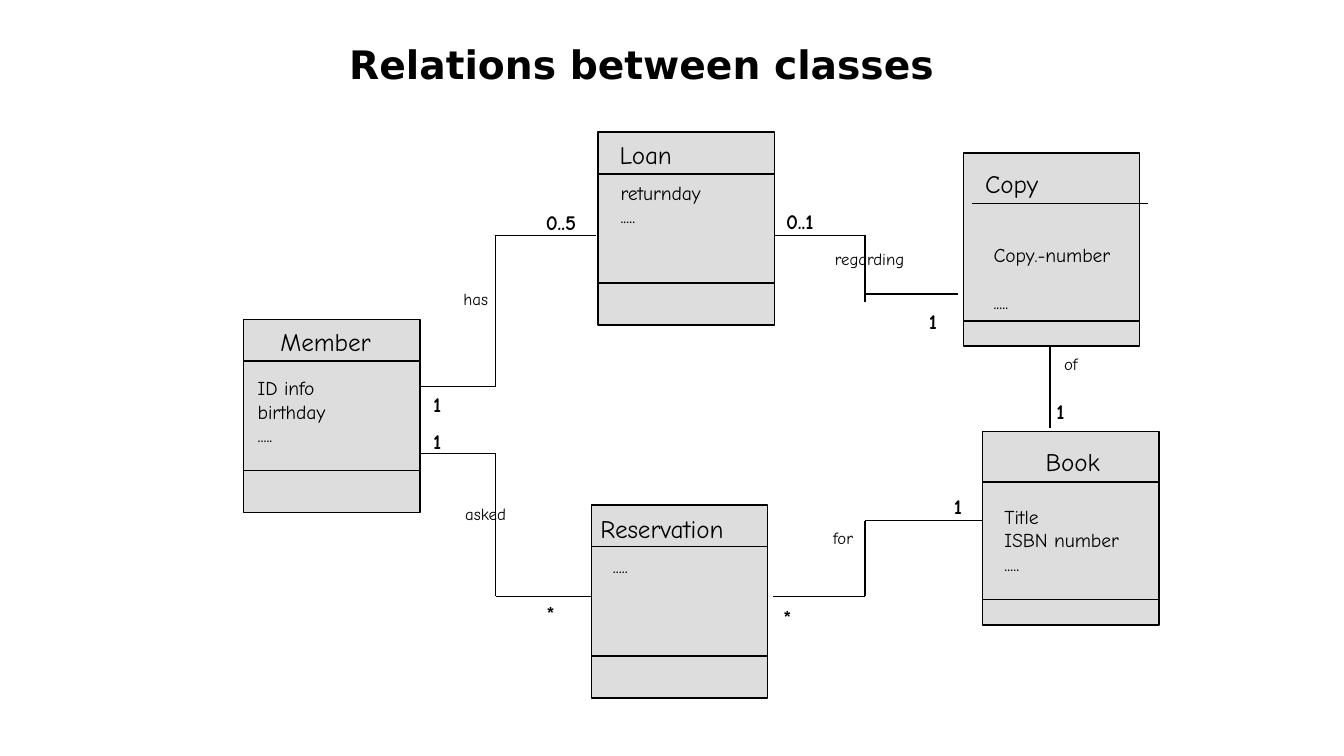
from pptx import Presentation
from pptx.dml.color import RGBColor
from pptx.enum.shapes import MSO_CONNECTOR as Line, MSO_SHAPE as Shape
from pptx.enum.text import MSO_AUTO_SIZE as Fit
from pptx.oxml.ns import qn
from pptx.util import Emu, Pt
from lxml.etree import SubElement as Sub

deck = Presentation()
unit = Emu(57150)  # one grid step: 160 columns by 90 rows
deck.slide_width, deck.slide_height = 160 * unit, 90 * unit
slide = deck.slides.add_slide(deck.slide_layouts[6])
shapes = slide.shapes

ink = RGBColor.from_string("000000")
grey = RGBColor.from_string("DDDDDD")
white = RGBColor.from_string("FFFFFF")
hand = "Comic Neue"
title = {"name": "DejaVu Sans", "size": Pt(21), "bold": True}
count = {"name": hand, "size": Pt(11.2), "bold": True}
role = {"name": hand, "size": Pt(9)}
head = {"name": hand, "size": Pt(13.5)}
body = {"name": hand, "size": Pt(10.5)}


def write(words, x, y, wide, style, wrap=False, gap=0):
    """Add a text box as tall as its lines; gap goes before the last paragraph."""
    rows = 1 + words.count("\n") + words.count("\v")
    tall = 1.6 + (rows * style["size"].pt * 1.2 + gap) / 4.5
    box = shapes.add_textbox(*[int(n * unit) for n in (x, y, wide, tall)])
    frame = box.text_frame
    frame.word_wrap = wrap
    frame.auto_size = Fit.SHAPE_TO_FIT_TEXT
    frame.text = words
    for para in frame.paragraphs:
        for run in para.runs:
            run.font.color.rgb = ink
            for key, value in style.items():
                setattr(run.font, key, value)
    if gap:
        frame.paragraphs[-1].space_before = Pt(gap)
    return box


def rule(*points):
    """Draw straight black lines from point to point."""
    for start, end in zip(points, points[1:]):
        line = shapes.add_connector(
            Line.STRAIGHT, *[int(n * unit) for n in start + end])
        line.line.color.rgb = ink
        line.line.width = Pt(0.75)
        Sub(line._element.spPr, qn("a:effectLst"))


banner = write("Relations between classes", 40, 4, 87, title, wrap=True)
banner.fill.solid()
banner.fill.fore_color.rgb = white

# Relations
rule((50, 46), (59, 46), (59, 28), (71, 28))
rule((50, 54), (59, 54), (59, 71), (71, 71))
rule((92, 28), (103, 28), (103, 36))
rule((103, 35), (114, 35))
rule((92, 71), (103, 71), (103, 62), (117, 62))
rule((125, 39.5), (125, 51))

counts = [
    ("0..5", 63.4, 24.2, 8.5), ("*", 63.5, 70.7, 4.6),
    ("1", 50, 45.8, 4.8), ("1", 50, 50.2, 4.8),
    ("1", 109, 36, 4.8), ("1", 112, 58, 4.8),
    ("0..1", 92, 24, 8.5), ("*", 91.7, 71.2, 4.6),
    ("1", 124.2, 46.7, 4.8),
]
for words, x, y, wide in counts:
    write(words, x, y, wide, count)

roles = [
    ("has", 53.6, 33.6, 6.4), ("asked", 53.8, 59.2, 8.6),
    ("regarding", 97.8, 28.8, 12.3), ("of", 125.1, 41.3, 5.3),
    ("for", 97.6, 62, 6.4),
]
for words, x, y, wide in roles:
    write(words, x, y, wide, role)

# Classes: corner, rows of the two rules, shift of the upper rule,
# then name and fields as (text, x, y, width), and the gap before the dots
classes = [
    (29, 38, 5, 18, 0, ("Member", 31.8, 38.1, 14.9),
     ("ID info\vbirthday\n.....", 29.1, 44, 12.8), 0),
    (71.2, 15.7, 5, 18, 0, ("Loan", 72.2, 15.8, 9.6),
     ("returnday\n.....", 72.3, 20.7, 14.2), 0),
    (114.7, 18.2, 6, 20, 1, ("Copy", 115.7, 19.2, 9.9),
     ("Copy.-number\n.....", 116.7, 28.1, 18.1), 12.6),
    (117, 51.4, 6, 20, 0, ("Book", 122.9, 52.3, 9.9),
     ("Title\nISBN number\n.....", 118, 59.3, 18.4), 0),
    (70.4, 60.1, 5, 18, 0, ("Reservation", 69.9, 60.3, 19.8),
     (".....", 71.4, 65.2, 6.2), 0),
]
for x, y, upper, lower, shift, name, fields, gap in classes:
    card = shapes.add_shape(
        Shape.RECTANGLE, *[int(n * unit) for n in (x, y, 21, 23)])
    card.shadow.inherit = False
    card.fill.solid()
    card.fill.fore_color.rgb = grey
    card.line.color.rgb = ink
    card.line.width = Pt(0.75)
    rule((x + shift, y + upper), (x + shift + 21, y + upper))
    rule((x, y + lower), (x + 21, y + lower))
    write(*name, head)
    write(*fields, body, gap=gap)

deck.save("out.pptx")
